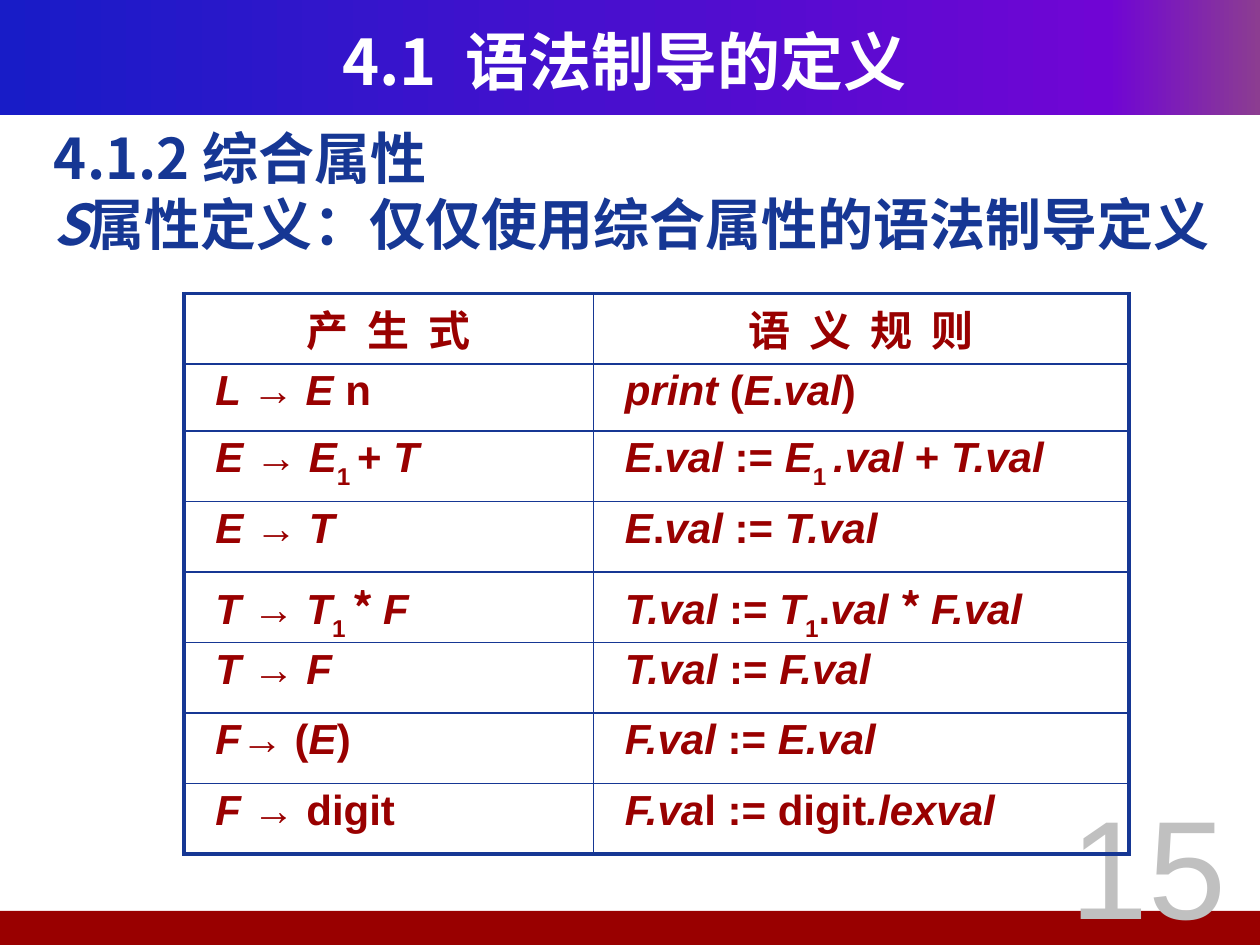
"""Build the slide on S-attributed definitions with its table of semantic rules."""
from dataclasses import dataclass

from lxml.etree import SubElement
from pptx import Presentation
from pptx.dml.color import RGBColor
from pptx.enum.shapes import MSO_SHAPE
from pptx.enum.text import MSO_ANCHOR, PP_ALIGN
from pptx.oxml import parse_xml
from pptx.oxml.ns import nsdecls, qn
from pptx.util import Inches, Pt

CJK = "Noto Sans CJK SC"
LATIN = "Arial"
WHITE, BLUE, RED, GREY = "FFFFFF", "163794", "990000", "C0C0C0"
BANNER_STOPS = [(0, "181CC7"), (88, "7005D4"), (100, "8C3D91")]
HEADINGS = ["产 生 式", "语 义 规 则"]
RULES = [
    ("/L /→ /E /n", "/print/ (/E/./val/)"),
    ("/E /→ /E/~1 ~+ /T/", "/E/./val/ := /E/~1 ~/.val/ + /T.val/"),
    ("/E /→ /T/", "/E/./val/ := /T.val/"),
    ("/T /→ /T/~1 ~* ~~/F/", "/T.val/ := /T/~1~./val /* /F.val/"),
    ("/T /→ /F/", "/T.val/ := /F.val/"),
    ("/F/→ (/E/)", "/F.val/ := /E.val/"),
    ("/F /→ digit", "/F.va/l := digit/.lexval/"),
]


@dataclass
class Style:
    size: float
    font: str
    colour: str
    bold: bool = True
    align: PP_ALIGN = PP_ALIGN.LEFT


@dataclass
class Piece:
    text: str
    italic: bool = False
    subscript: bool = False
    spacing: float = 0


@dataclass
class Area:
    left: float
    top: float
    width: float
    height: float

    def lengths(self) -> list:
        return [Inches(n) for n in (self.left, self.top, self.width, self.height)]


def colour(code: str) -> RGBColor:
    return RGBColor.from_string(code)


def parse_markup(markup: str) -> list[Piece]:
    """Read slashes as italic toggles and tildes as subscript toggles."""
    return [
        Piece(text, italic=i % 2 == 1, subscript=j % 2 == 1)
        for i, part in enumerate(markup.split("/"))
        for j, text in enumerate(part.split("~"))
        if text
    ]


def write(para, pieces: list[Piece], style: Style) -> None:
    para.alignment = style.align
    font = para.font
    font.size, font.bold, font.name = Pt(style.size), style.bold, style.font
    font.color.rgb = colour(style.colour)
    if style.font == CJK:
        SubElement(font._rPr, qn("a:ea"), typeface=CJK)
    for piece in pieces:
        span = para.add_run()
        span.text = piece.text
        properties = span._r.get_or_add_rPr()
        if piece.italic:
            span.font.italic = True
        if piece.subscript:
            properties.set("baseline", "-30000")
        if piece.spacing:
            properties.set("spc", str(round(piece.spacing * 100)))
        if piece.text.startswith("*"):
            span.font.name = CJK


def add_band(page, area: Area):
    band = page.shapes.add_shape(MSO_SHAPE.RECTANGLE, *area.lengths())
    band.shadow.inherit = False
    band.line.fill.background()
    return band


def fill_gradient(band, stops: list[tuple[int, str]]) -> None:
    band.fill.background()
    items = "".join(
        f'<a:gs pos="{pos * 1000}"><a:srgbClr val="{code}"/></a:gs>' for pos, code in stops
    )
    gradient = parse_xml(
        f'<a:gradFill {nsdecls("a")} rotWithShape="1"><a:gsLst>{items}</a:gsLst>'
        '<a:lin ang="0" scaled="1"/></a:gradFill>'
    )
    properties = band._element.spPr
    properties.replace(properties.find(qn("a:noFill")), gradient)


def add_text(page, area: Area, lines: list[list[Piece]], style: Style):
    frame = page.shapes.add_textbox(*area.lengths()).text_frame
    frame.word_wrap = True
    for index, pieces in enumerate(lines):
        para = frame.add_paragraph() if index else frame.paragraphs[0]
        write(para, pieces, style)
    return frame


def set_borders(cell, widths: dict[str, float]) -> None:
    properties = cell._tc.get_or_add_tcPr()
    for side, width in widths.items():
        line = SubElement(properties, qn(f"a:ln{side}"), w=str(Pt(width)))
        SubElement(SubElement(line, qn("a:solidFill")), qn("a:srgbClr"), val=BLUE)


def add_rules(page) -> None:
    row_total = len(RULES) + 1
    area = Area(1.46, 2.33, 7.5, 4.45)
    table = page.shapes.add_table(row_total, 2, *area.lengths()).table
    table.first_row = table.horz_banding = False
    for column, width in zip(table.columns, (3.25, 4.25)):
        column.width = Inches(width)
    for index, row in enumerate(table.rows):
        row.height = Inches(0.53 if index == 1 else 0.56)
    heading = Style(24, CJK, RED, align=PP_ALIGN.CENTER)
    body = Style(24, LATIN, RED)
    for r, texts in enumerate([HEADINGS, *RULES]):
        for c, text in enumerate(texts):
            cell = table.cell(r, c)
            cell.margin_left = Inches(0.25 if r else 0.06)
            cell.margin_right = Inches(0.06)
            cell.margin_top = cell.margin_bottom = Inches(0.03)
            outer = {"L": c == 0, "R": c == 1, "T": r == 0, "B": r == row_total - 1}
            set_borders(cell, {side: 2.25 if edge else 1 for side, edge in outer.items()})
            cell.fill.background()
            pieces = parse_markup(text) if r else [Piece(text, spacing=2.7)]
            write(cell.text_frame.paragraphs[0], pieces, body if r else heading)


def main() -> None:
    deck = Presentation()
    deck.slide_width, deck.slide_height = Inches(10), Inches(7.5)
    page = deck.slides.add_slide(deck.slide_layouts[6])

    fill_gradient(add_band(page, Area(0, 0, 10, 0.91)), BANNER_STOPS)
    footer = add_band(page, Area(-0.04, 7.23, 10.04, 0.27))
    footer.fill.solid()
    footer.fill.fore_color.rgb = colour(RED)

    title = add_text(
        page,
        Area(0.33, 0.17, 9.25, 0.62),
        [[Piece("4.1"), Piece(" ", spacing=8), Piece("语法制导的定义")]],
        Style(36, CJK, WHITE, align=PP_ALIGN.CENTER),
    )
    title.vertical_anchor = MSO_ANCHOR.MIDDLE

    body = add_text(
        page,
        Area(0.33, 0.99, 9.55, 5.75),
        [parse_markup("4.1.2 综合属性"), parse_markup("/S/属性定义：仅仅使用综合属性的语法制导定义")],
        Style(32, CJK, BLUE),
    )
    for para in body.paragraphs:
        para.line_spacing = 0.9
    body.paragraphs[1].space_before = Pt(3)

    number = add_text(
        page,
        Area(8.23, 6.03, 1.77, 1.42),
        [[Piece("15")]],
        Style(80, LATIN, GREY, bold=False, align=PP_ALIGN.CENTER),
    )
    number.margin_top = Inches(0.16)

    add_rules(page)
    deck.save("out.pptx")


if __name__ == "__main__":
    main()
